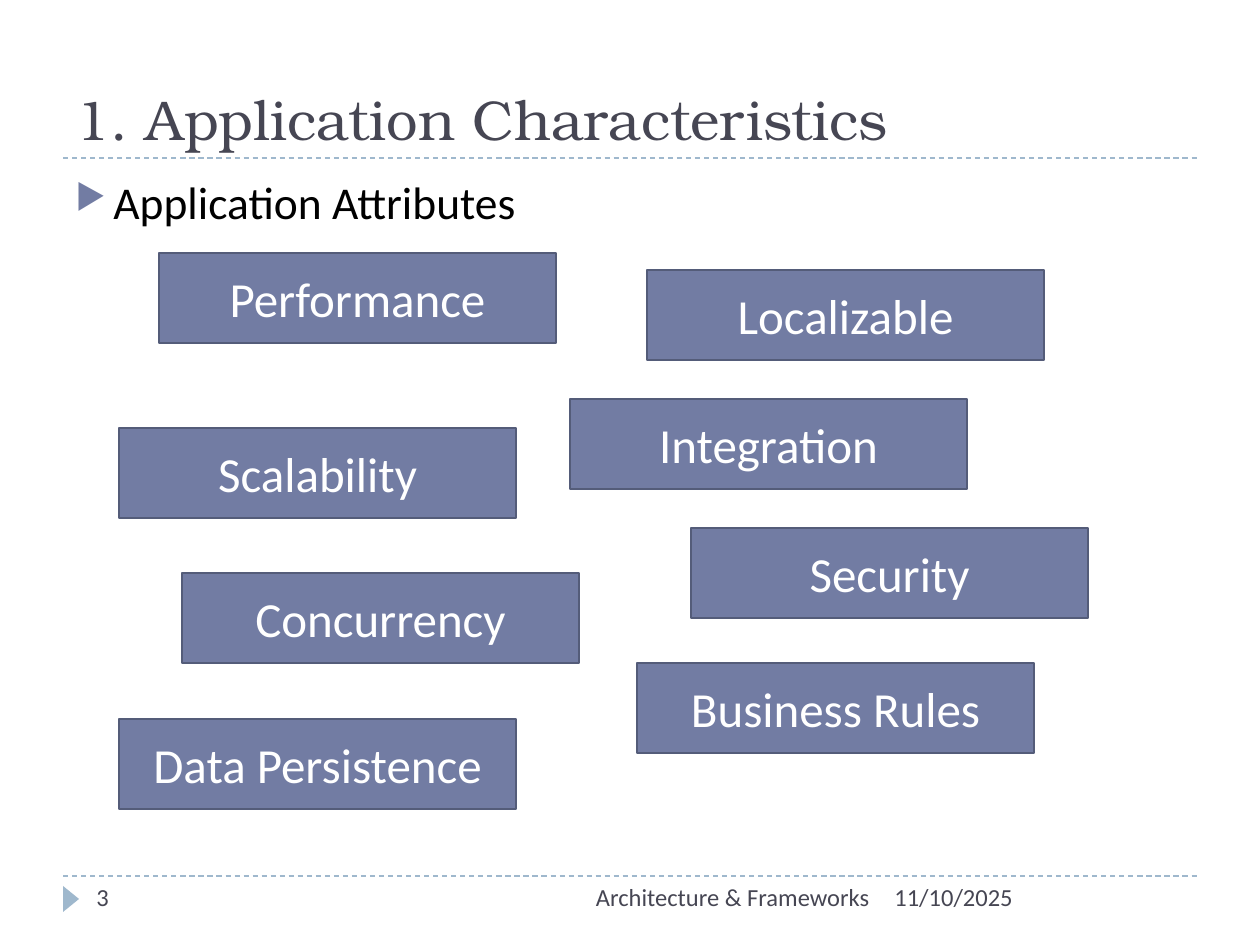
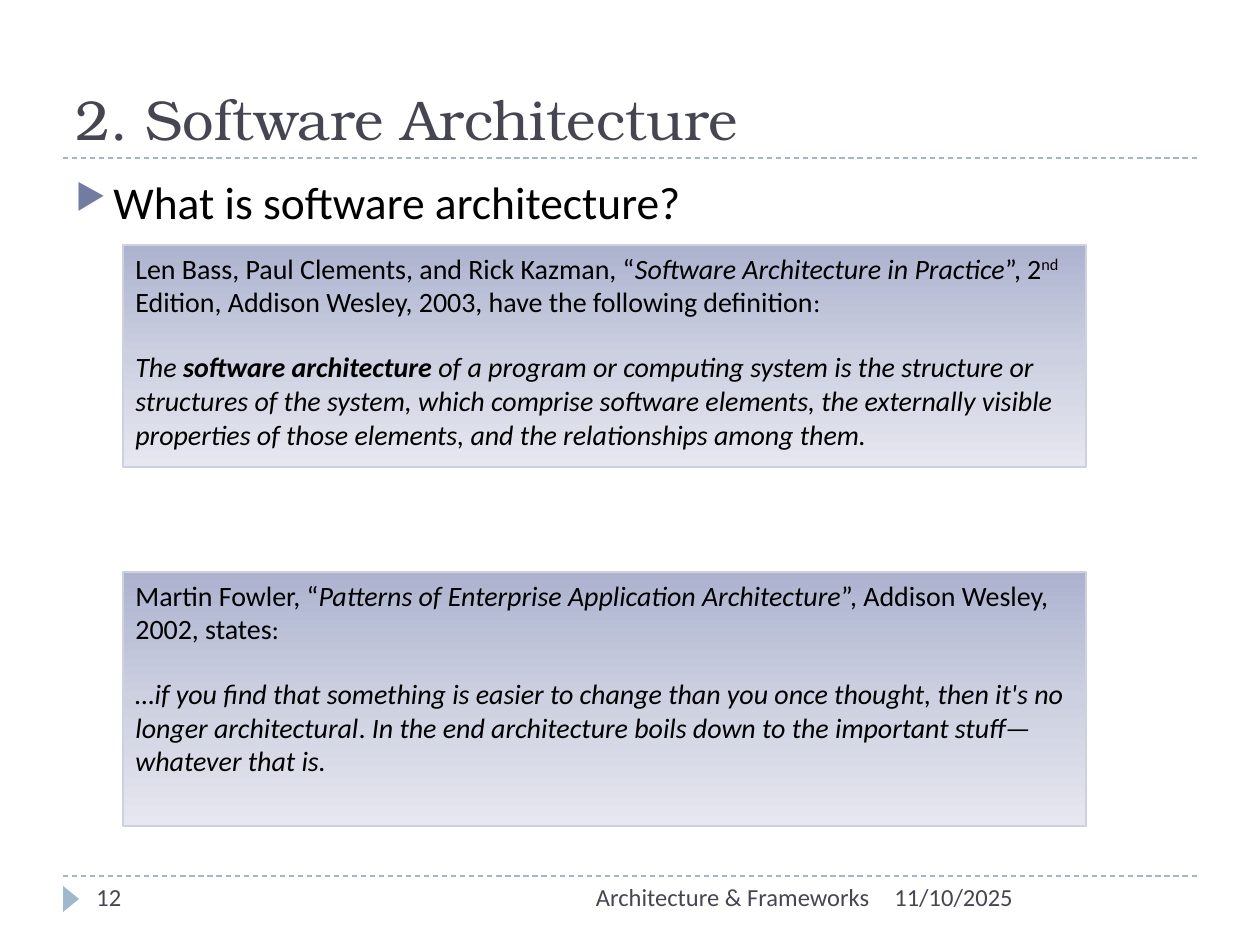
from dataclasses import dataclass

from lxml.etree import SubElement
from pptx import Presentation
from pptx.dml.color import RGBColor
from pptx.enum.dml import MSO_LINE
from pptx.enum.shapes import MSO_CONNECTOR, MSO_SHAPE
from pptx.enum.text import MSO_ANCHOR, PP_ALIGN
from pptx.oxml.ns import qn
from pptx.util import Emu, Pt

COLORS = {
    "title": "464653", "body": "000000", "accent": "727CA3", "edge": "545C79",
    "rule": "9FB8CD", "white": "FFFFFF", "quote_edge": "CCD0E0",
}
QUOTE_STOPS = [(0, "ADB3CF"), (50, "CCD0E0"), (100, "E6E7EF")]
TITLE_FONT = "TeX Gyre Bonum"
BODY_FONT = "Calibri"
SLIDE_W, SLIDE_H = 1260, 945
PX_PER_INCH = 126
RULE_YS = (158, 876)
ATTR_W, ATTR_H = 397, 90
QUOTE_X, QUOTE_W = 123, 963
QUOTE_GAP = 18


@dataclass(frozen=True)
class Run:
    text: str
    size: float = 16
    italic: bool = False
    bold: bool = False
    raised: bool = False
    color: str = "body"
    font: str = BODY_FONT


@dataclass(frozen=True)
class Attribute:
    name: str
    x: int
    y: int


@dataclass(frozen=True)
class Quote:
    y: int
    h: int
    source: list[Run]
    saying: list[Run]


ATTRIBUTES = [
    Attribute("Performance", 159, 253),
    Attribute("Localizable", 647, 270),
    Attribute("Integration", 570, 399),
    Attribute("Scalability", 119, 428),
    Attribute("Security", 691, 528),
    Attribute("Concurrency", 182, 573),
    Attribute("Business Rules", 637, 663),
    Attribute("Data Persistence", 119, 719),
]

QUOTES = [
    Quote(245, 222, [
        Run("Len Bass, Paul Clements, and Rick Kazman, “"),
        Run("Software Architecture in Practice", italic=True),
        Run("”, 2"),
        Run("nd", raised=True),
        Run(" Edition, Addison Wesley, 2003, have the following definition"),
        Run(":", 15),
    ], [
        Run("The ", italic=True),
        Run("software architecture ", italic=True, bold=True),
        Run("of a program or computing system is the structure or structures of "
            "the system, which comprise software elements, the externally visible "
            "properties of those elements, and the relationships among them.",
            italic=True),
    ]),
    Quote(572, 254, [
        Run("Martin Fowler, “"),
        Run("Patterns of Enterprise Application Architecture", italic=True),
        Run("”, Addison Wesley, 2002, states"),
        Run(":", 15),
    ], [
        Run("…if you find that something is easier to change than you once thought, "
            "then it's no longer architectural", italic=True),
        Run(". "),
        Run("In the end architecture boils down to the important stuff—whatever "
            "that is.", italic=True),
    ]),
]


def px(n: int) -> Emu:
    """Turn pixels into EMU."""
    return Emu(round(n * 914400 / PX_PER_INCH))


def rgb(name: str) -> RGBColor:
    """Look up a colour by its role."""
    return RGBColor.from_string(COLORS[name])


def add_runs(p, runs: list[Run]) -> None:
    """Append formatted runs to a paragraph."""
    for run in runs:
        r = p.add_run()
        r.text = run.text
        r.font.name = run.font
        r.font.size = Pt(run.size)
        r.font.italic = run.italic
        r.font.bold = run.bold
        r.font.color.rgb = rgb(run.color)
        if run.raised:
            r.font._element.set("baseline", "30000")


def add_text(s, x: int, y: int, w: int, h: int, run: Run,
             align=PP_ALIGN.LEFT, anchor=MSO_ANCHOR.TOP):
    """Add a one-line text box and return its paragraph."""
    tf = s.shapes.add_textbox(px(x), px(y), px(w), px(h)).text_frame
    tf.word_wrap = True
    tf.vertical_anchor = anchor
    p = tf.paragraphs[0]
    p.alignment = align
    add_runs(p, [run])
    return p


def add_box(s, kind, x: int, y: int, w: int, h: int):
    """Add a preset shape without a shadow."""
    sp = s.shapes.add_shape(kind, px(x), px(y), px(w), px(h))
    sp.shadow.inherit = False
    return sp


def add_rule(s, y: int) -> None:
    """Draw a dashed rule across the slide."""
    cn = s.shapes.add_connector(
        MSO_CONNECTOR.STRAIGHT, px(63), px(y), px(SLIDE_W - 63), px(y))
    cn.line.color.rgb = rgb("rule")
    cn.line.width = Pt(0.75)
    cn.line.dash_style = MSO_LINE.DASH
    SubElement(cn._element.spPr, qn("a:effectLst"))


def add_bullet(p) -> None:
    """Give a paragraph the triangular bullet and hanging indent."""
    pPr = p._p.get_or_add_pPr()
    pPr.set("marL", str(px(38)))
    pPr.set("indent", str(-px(38)))
    clr = SubElement(pPr, qn("a:buClr"))
    SubElement(clr, qn("a:srgbClr"), val=COLORS["accent"])
    SubElement(pPr, qn("a:buSzPct"), val="76000")
    SubElement(pPr, qn("a:buChar"), char="▶")


def add_slide(prs, title: str, heading: str, number: int):
    """Add a slide with rules, title, heading and footer."""
    s = prs.slides.add_slide(prs.slide_layouts[6])
    for y in RULE_YS:
        add_rule(s, y)
    marker = add_box(s, MSO_SHAPE.ISOSCELES_TRIANGLE, 58, 891, 26, 16)
    marker.rotation = 90
    marker.fill.solid()
    marker.fill.fore_color.rgb = rgb("rule")
    marker.line.fill.background()
    add_text(s, 63, 21, 1134, 137, Run(title, 32, color="title", font=TITLE_FONT),
             anchor=MSO_ANCHOR.BOTTOM)
    add_bullet(add_text(s, 63, 168, 1134, 680, Run(heading, 26)))
    for x, w, text, align in [
        (882, 315, "11/10/2025", PP_ALIGN.LEFT),
        (399, 483, "Architecture & Frameworks", PP_ALIGN.RIGHT),
        (84, 273, str(number), PP_ALIGN.LEFT),
    ]:
        add_text(s, x, RULE_YS[1], w, 50, Run(text, 14, color="title"), align)
    return s


def add_attribute(s, attr: Attribute) -> None:
    """Draw one application attribute."""
    sp = add_box(s, MSO_SHAPE.RECTANGLE, attr.x, attr.y, ATTR_W, ATTR_H)
    sp.fill.solid()
    sp.fill.fore_color.rgb = rgb("accent")
    sp.line.color.rgb = rgb("edge")
    sp.line.width = Pt(1.5)
    tf = sp.text_frame
    tf.word_wrap = True
    tf.vertical_anchor = MSO_ANCHOR.MIDDLE
    p = tf.paragraphs[0]
    p.alignment = PP_ALIGN.CENTER
    add_runs(p, [Run(attr.name, 28, color="white")])


def fill_gradient(sp) -> None:
    """Fill a shape with the vertical quote gradient."""
    sp.fill.gradient()
    sp.fill.gradient_angle = 270
    stops = sp._element.spPr.find(".//" + qn("a:gsLst"))
    stops.clear()
    for pos, color in QUOTE_STOPS:
        gs = SubElement(stops, qn("a:gs"), pos=str(pos * 1000))
        SubElement(gs, qn("a:srgbClr"), val=color)


def add_quote(s, quote: Quote) -> None:
    """Draw a definition with its source above."""
    sp = add_box(s, MSO_SHAPE.RECTANGLE, QUOTE_X, quote.y, QUOTE_W, quote.h)
    fill_gradient(sp)
    sp.line.color.rgb = rgb("quote_edge")
    sp.line.width = Pt(0.75)
    tf = sp.text_frame
    tf.word_wrap = True
    tf.vertical_anchor = MSO_ANCHOR.TOP
    source, saying = tf.paragraphs[0], tf.add_paragraph()
    saying.space_before = Pt(QUOTE_GAP)
    for p, runs in ((source, quote.source), (saying, quote.saying)):
        p.alignment = PP_ALIGN.LEFT
        add_runs(p, runs)


def main() -> None:
    """Build both slides and save them."""
    prs = Presentation()
    prs.slide_width, prs.slide_height = px(SLIDE_W), px(SLIDE_H)
    s = add_slide(prs, "1. Application Characteristics", "Application Attributes", 3)
    for attr in ATTRIBUTES:
        add_attribute(s, attr)
    s = add_slide(prs, "2. Software Architecture", "What is software architecture?", 12)
    for quote in QUOTES:
        add_quote(s, quote)
    prs.save("out.pptx")


if __name__ == "__main__":
    main()
